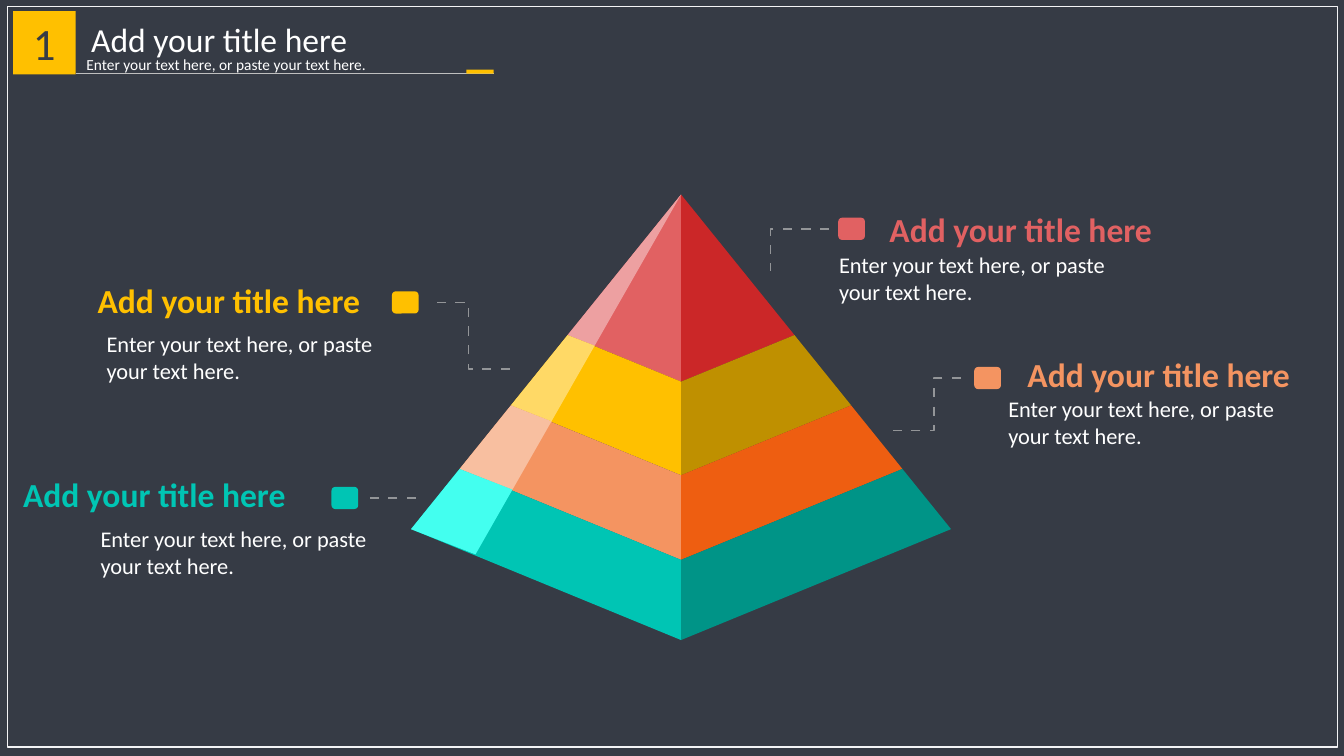
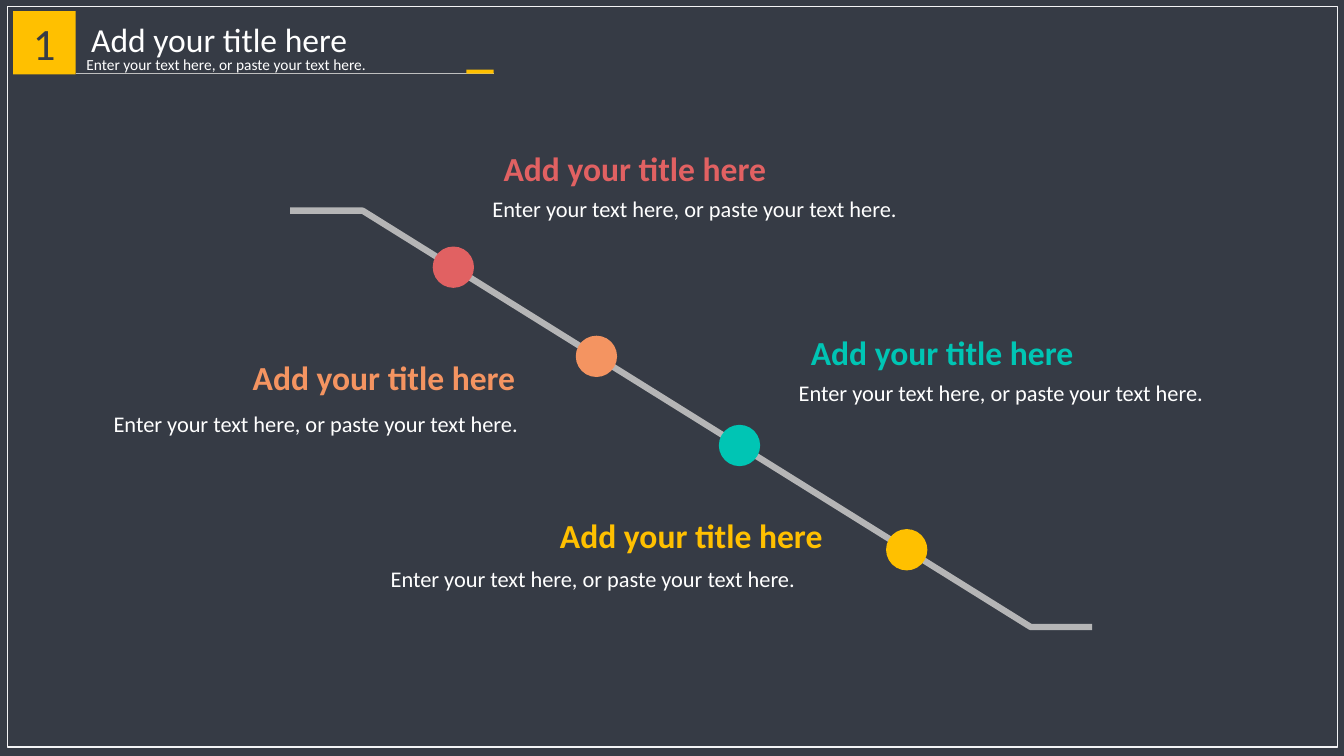
from dataclasses import dataclass
from itertools import pairwise

from lxml.etree import SubElement
from pptx import Presentation
from pptx.dml.color import RGBColor
from pptx.enum.shapes import MSO_CONNECTOR, MSO_SHAPE
from pptx.enum.text import MSO_ANCHOR, PP_ALIGN
from pptx.oxml.ns import qn
from pptx.shapes.autoshape import Shape
from pptx.shapes.base import BaseShape
from pptx.slide import Slide
from pptx.util import Emu, Inches, Pt

# The grid has ten columns and ten rows to the inch.
COLUMNS, ROWS = 133.4, 75
CELL = Inches(0.1)
FONT = "Calibri"
HEADING = "Add your title here"
BODY = "Enter your text here, or paste your text here."

COLORS = {
    "ground": "363B45", "frame": "F3F3F5", "white": "FFFFFF",
    "rule": "BFBFBF", "leader": "939598", "track": "B5B5B6",
    "red": "E16162", "red dark": "CB2728", "red light": "EDA0A1",
    "yellow": "FFC000", "yellow dark": "BF9000", "yellow light": "FFD966",
    "orange": "F49461", "orange dark": "EE5E11", "orange light": "F8BFA0",
    "teal": "00C5B4", "teal dark": "009487", "teal light": "43FFEF",
}

Point = tuple[float, float]


@dataclass(frozen=True)
class Callout:
    color: str
    heading_at: Point
    body_at: Point
    body_columns: float


@dataclass(frozen=True)
class Marker:
    """A colour swatch and the dashed leader that runs from it."""
    color: str
    swatch_at: Point
    leader: tuple[Point, ...]


PYRAMID_CALLOUTS = (
    Callout("yellow", (8.7, 27.3), (9.6, 32.3), 31.8),
    Callout("orange", (101, 34.6), (99.1, 38.7), 31.8),
    Callout("teal", (1.3, 46.5), (9, 51.6), 31.8),
    Callout("red", (87.3, 20.2), (82.3, 24.4), 31.8),
)
MARKERS = (
    Marker("red", (83.2, 21.6), ((82.3, 22.7), (76.5, 22.7), (76.5, 26.9))),
    Marker("orange", (96.7, 36.4),
           ((95.4, 37.5), (92.7, 37.5), (92.7, 42.7), (88.6, 42.7))),
    Marker("yellow", (38.9, 28.9),
           ((50.6, 36.6), (46.5, 36.6), (46.5, 30), (43.4, 30))),
    Marker("teal", (32.9, 48.3), ((41.3, 49.4), (36.7, 49.4))),
)
APEX: Point = (67.6, 19.3)
LAYERS = ("red", "yellow", "orange", "teal")
LAYER_BOUNDS = (0, 0.42, 0.63, 0.82, 1)
# Where each ray from the apex meets the base
LEFT_CORNER, SHINE_END = (40.8, 52.5), (47.2, 55)
FRONT_CORNER, RIGHT_CORNER = (67.6, 63.5), (94.4, 52.5)
FACES = (("", LEFT_CORNER, FRONT_CORNER), (" dark", FRONT_CORNER, RIGHT_CORNER),
         (" light", LEFT_CORNER, SHINE_END))

TRACK = ((28.8, 20.9), (36, 20.9), (102.3, 62.2), (108.4, 62.2))
STOPS = (("red", 45), ("orange", 59.2), ("teal", 73.4), ("yellow", 90))
STOP_SIZE = 4.1
TRACK_CALLOUTS = (
    Callout("red", (49, 14.2), (47.9, 18.9), 46.6),
    Callout("orange", (24.1, 34.9), (10.3, 40.2), 46.6),
    Callout("teal", (79.5, 32.4), (78.3, 37.1), 46.6),
    Callout("yellow", (54.6, 50.6), (37.8, 55.6), 46.6),
)


def cells(count: float) -> Emu:
    return Emu(round(count * CELL))


def rgb(color: str) -> RGBColor:
    return RGBColor.from_string(COLORS[color])


def paint(shape: Shape, fill: str | None = None, line: str | None = None,
          points: float = 1) -> Shape:
    shape.shadow.inherit = False
    if fill:
        shape.fill.solid()
        shape.fill.fore_color.rgb = rgb(fill)
    else:
        shape.fill.background()
    if line:
        shape.line.color.rgb = rgb(line)
        shape.line.width = Pt(points)
    else:
        shape.line.fill.background()
    return shape


def add_preset(slide: Slide, kind: MSO_SHAPE, left: float, top: float,
               columns: float, rows: float) -> Shape:
    return slide.shapes.add_shape(
        kind, cells(left), cells(top), cells(columns), cells(rows))


def add_outline(slide: Slide, points: tuple[Point, ...], close: bool) -> Shape:
    start, *rest = [(cells(x), cells(y)) for x, y in points]
    builder = slide.shapes.build_freeform(*start)
    builder.add_line_segments(rest, close=close)
    return builder.convert_to_shape()


def add_straight(slide: Slide, start: Point, end: Point, color: str,
                 points: float) -> BaseShape:
    line = slide.shapes.add_connector(
        MSO_CONNECTOR.STRAIGHT, *map(cells, (*start, *end)))
    line.line.color.rgb = rgb(color)
    line.line.width = Pt(points)
    SubElement(line._element.spPr, qn("a:effectLst"))
    return line


def write(shape: Shape, text: str, size: float, color: str, bold: bool = False,
          centred: bool = False, spacing: float = 1, wrap: bool = True) -> None:
    frame = shape.text_frame
    frame.word_wrap = wrap
    frame.vertical_anchor = MSO_ANCHOR.MIDDLE if centred else MSO_ANCHOR.TOP
    paragraph = frame.paragraphs[0]
    paragraph.alignment = PP_ALIGN.CENTER if centred else PP_ALIGN.LEFT
    paragraph.line_spacing = spacing
    run = paragraph.add_run()
    run.text = text
    run.font.name = FONT
    run.font.size = Pt(size)
    run.font.bold = bold
    run.font.color.rgb = rgb(color)


def add_text_area(slide: Slide, at: Point, columns: float, rows: float) -> Shape:
    return slide.shapes.add_textbox(*map(cells, (*at, columns, rows)))


def add_header(slide: Slide) -> None:
    paint(add_preset(slide, MSO_SHAPE.RECTANGLE, 0.75, 0.65, 132, 73.45),
          line="frame")
    number = paint(add_preset(slide, MSO_SHAPE.RECTANGLE, 1.3, 1.1, 6.2, 6.3),
                   "yellow")
    write(number, "1", 32, "ground", centred=True)
    write(add_text_area(slide, (6.8, 0.9), 29.9, 5.5), HEADING, 24, "white",
          centred=True, spacing=1.1)
    write(add_text_area(slide, (7.6, 5), 38.6, 2.8), BODY, 11, "white")
    add_straight(slide, (7.5, 7.3), (49, 7.3), "rule", 0.5)
    paint(add_preset(slide, MSO_SHAPE.RECTANGLE, 46.3, 6.9, 2.7, 0.4), "yellow")


def add_callout(slide: Slide, callout: Callout) -> None:
    write(add_text_area(slide, callout.body_at, callout.body_columns, 6.4),
          BODY, 16, "white")
    write(add_text_area(slide, callout.heading_at, 28.1, 5),
          HEADING, 24, callout.color, bold=True, wrap=False)


def toward(base: Point, share: float) -> Point:
    """Point at a share of the way from the apex to the base."""
    return (APEX[0] + (base[0] - APEX[0]) * share,
            APEX[1] + (base[1] - APEX[1]) * share)


def add_pyramid(slide: Slide) -> None:
    for shade, first, second in FACES:
        for layer, (upper, lower) in zip(LAYERS, pairwise(LAYER_BOUNDS)):
            corners = (toward(first, upper), toward(first, lower),
                       toward(second, lower), toward(second, upper))
            paint(add_outline(slide, corners, close=True), layer + shade)


def dash(line: BaseShape) -> None:
    """Set dashes and gaps of equal length, seven line widths each."""
    pattern = line.line._get_or_add_ln()
    custom = pattern.makeelement(qn("a:custDash"), {})
    SubElement(custom, qn("a:ds"), d="670000", sp="670000")
    pattern.find(qn("a:solidFill")).addnext(custom)


def add_marker(slide: Slide, marker: Marker) -> None:
    swatch = paint(add_preset(slide, MSO_SHAPE.ROUNDED_RECTANGLE,
                              *marker.swatch_at, 2.65, 2.2), marker.color)
    swatch.adjustments[0] = 0.17
    if len(marker.leader) == 2:
        leader = add_straight(slide, *marker.leader, "leader", 1)
    else:
        leader = paint(add_outline(slide, marker.leader, close=False),
                       line="leader")
    dash(leader)


def add_track(slide: Slide) -> None:
    paint(add_outline(slide, TRACK, close=False), line="track", points=4.5)
    (left, top), (right, bottom) = TRACK[1:3]
    for color, x in STOPS:
        y = top + (x - left) * (bottom - top) / (right - left)
        paint(add_preset(slide, MSO_SHAPE.OVAL, x - STOP_SIZE / 2,
                         y - STOP_SIZE / 2, STOP_SIZE, STOP_SIZE), color)


def add_slide(deck: Presentation) -> Slide:
    slide = deck.slides.add_slide(deck.slide_layouts[6])
    slide.background.fill.solid()
    slide.background.fill.fore_color.rgb = rgb("ground")
    add_header(slide)
    return slide


def main() -> None:
    deck = Presentation()
    deck.slide_width, deck.slide_height = cells(COLUMNS), cells(ROWS)

    pyramid = add_slide(deck)
    add_pyramid(pyramid)
    for marker in MARKERS:
        add_marker(pyramid, marker)
    for callout in PYRAMID_CALLOUTS:
        add_callout(pyramid, callout)

    descent = add_slide(deck)
    add_track(descent)
    for callout in TRACK_CALLOUTS:
        add_callout(descent, callout)

    deck.save("out.pptx")


if __name__ == "__main__":
    main()
